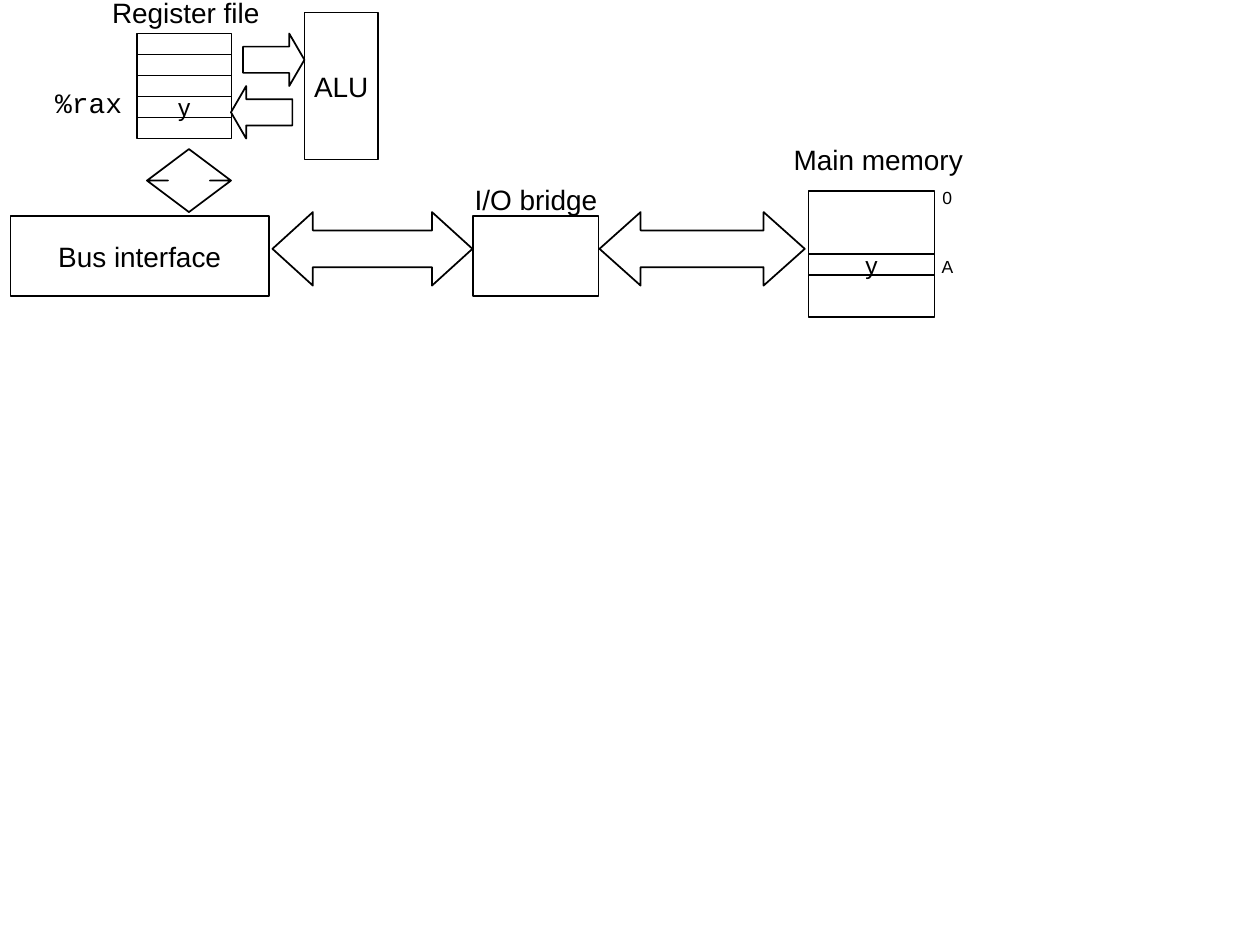
from pptx import Presentation
from pptx.dml.color import RGBColor
from pptx.enum.shapes import MSO_SHAPE
from pptx.enum.text import MSO_ANCHOR, MSO_AUTO_SIZE, PP_ALIGN
from pptx.util import Inches, Pt

RECT = MSO_SHAPE.RECTANGLE
RIGHT, LEFT = MSO_SHAPE.RIGHT_ARROW, MSO_SHAPE.LEFT_ARROW
ACROSS, UP_DOWN = MSO_SHAPE.LEFT_RIGHT_ARROW, MSO_SHAPE.UP_DOWN_ARROW
MIDDLE, CENTER = MSO_ANCHOR.MIDDLE, PP_ALIGN.CENTER
GROW = MSO_AUTO_SIZE.SHAPE_TO_FIT_TEXT

BLACK = RGBColor(0, 0, 0)
WHITE = RGBColor(255, 255, 255)
CELLS_PER_INCH = 12
ROW_H = 2
REG_X, REG_Y, REG_W = 13.05, 3.2, 9
BUS_Y, BUS_H = 20.6, 7.6
MEM_X, MEM_Y, MEM_W = 77, 18.2, 12


def grid(*cells):
    """Turn grid cells into slide lengths."""
    return [Inches(c / CELLS_PER_INCH) for c in cells]


def write(tf, text, size, font="Arial"):
    """Put one centred, unwrapped line of text in a frame."""
    tf.text = text
    tf.word_wrap = False
    tf.vertical_anchor = MIDDLE
    p = tf.paragraphs[0]
    p.alignment = CENTER
    f = p.runs[0].font
    f.name, f.size = font, Pt(size)
    f.color.rgb = BLACK


def add_outline(s, kind, x, y, w, h):
    """Add an unfilled shape with a thin black line."""
    sp = s.shapes.add_shape(kind, *grid(x, y, w, h))
    sp.shadow.inherit = False
    sp.fill.background()
    sp.line.color.rgb = BLACK
    sp.line.width = Pt(1)
    return sp


def add_box(s, x, y, w, h, text="", size=16):
    """Add a rectangle, with a label if one is given."""
    sp = add_outline(s, RECT, x, y, w, h)
    if text:
        write(sp.text_frame, text, size)
    return sp


def add_arrow(s, kind, x, y, w, h, head):
    """Add a block arrow; the vertical kind lists its head before its stem."""
    sp = add_outline(s, kind, x, y, w, h)
    stem_at, head_at = (1, 0) if kind == UP_DOWN else (0, 1)
    sp.adjustments[stem_at] = 0.5
    sp.adjustments[head_at] = head


def add_label(s, text, x, y, w, h=4.4, size=16, font="Arial"):
    """Add a free-standing label."""
    tf = s.shapes.add_textbox(*grid(x, y, w, h)).text_frame
    write(tf, text, size, font)
    tf.auto_size = GROW


def add_cpu(s):
    """Draw the register file, the ALU and the bus interface."""
    for i, value in enumerate(["", "", "", "y", ""]):
        add_box(s, REG_X, REG_Y + i * ROW_H, REG_W, ROW_H, value, 14)
    add_arrow(s, RIGHT, 23.15, REG_Y, 5.85, 5, 0.29)
    add_arrow(s, LEFT, 22, REG_Y + 5, 5.85, 5, 0.29)
    add_box(s, 29, 1.2, 7, 14, "ALU")
    add_label(s, "Register file", 9.2, -1, 17)
    add_label(s, "%rax", 4, 7.5, 8.9, font="Courier New")
    add_arrow(s, UP_DOWN, 14, 14.2, 8, 6, 0.2)
    bus = add_box(s, 1, BUS_Y, 24.6, BUS_H, "Bus interface")
    bus.fill.solid()
    bus.fill.fore_color.rgb = WHITE


def add_bridge(s):
    """Draw the I/O bridge between its two bus arrows."""
    add_arrow(s, ACROSS, 25.95, 20.2, 19.05, 7, 0.55)
    add_box(s, 45.05, BUS_Y, 11.95, BUS_H)
    add_arrow(s, ACROSS, 57.1, 20.2, 19.55, 7, 0.56)
    add_label(s, "I/O bridge", 43.9, 16.8, 14.3)


def add_memory(s):
    """Draw main memory with its addresses."""
    add_box(s, MEM_X, MEM_Y, MEM_W, 12)
    add_box(s, MEM_X, MEM_Y + 6, MEM_W, ROW_H, "y", 14)
    add_label(s, "Main memory", 74.3, 13, 18.7)
    for text, y in [("0", 17.2), ("A", 23.8)]:
        add_label(s, text, 88.5, y, 3.4, 3.2, 10)


def main():
    """Build the slide and save it."""
    prs = Presentation()
    prs.slide_width, prs.slide_height = Inches(10), Inches(7.5)
    s = prs.slides.add_slide(prs.slide_layouts[6])
    add_memory(s)
    add_bridge(s)
    add_cpu(s)
    prs.save("out.pptx")


if __name__ == "__main__":
    main()
